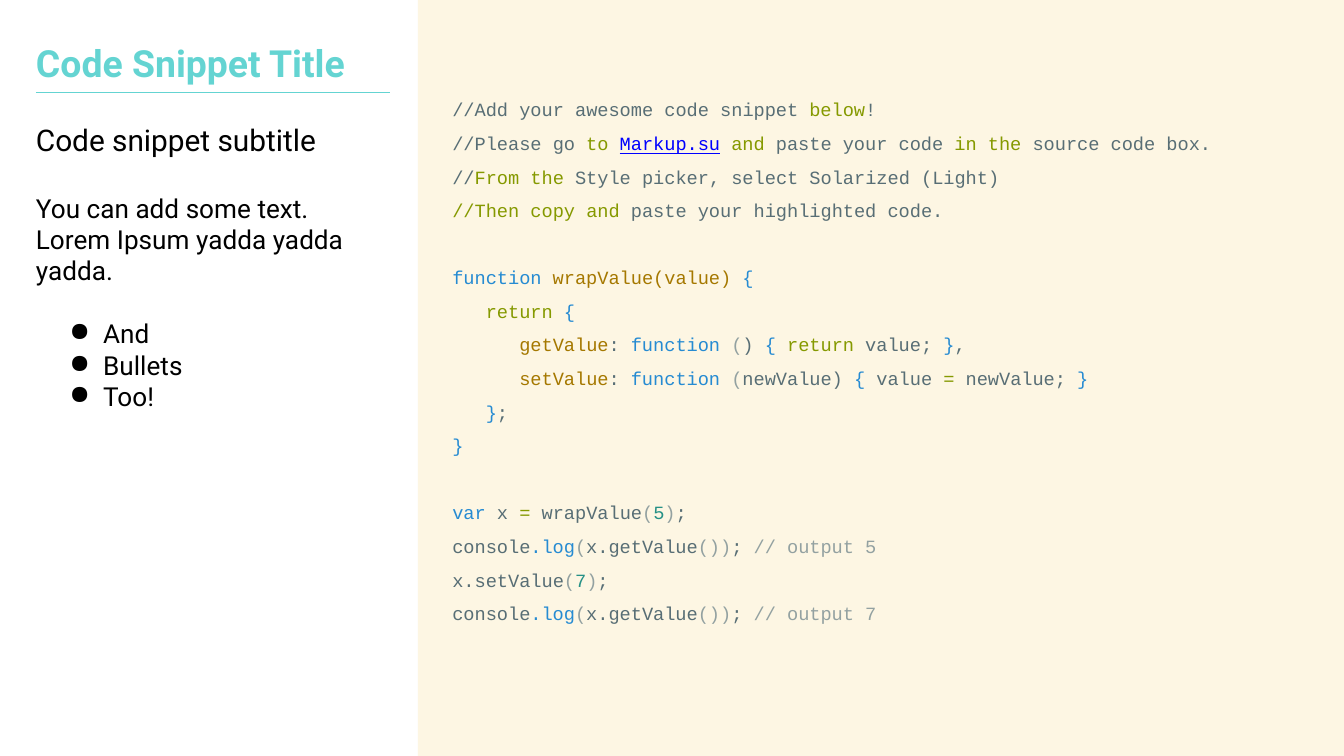
"""Build a slide with a titled text column and a highlighted code panel."""
import pptx
import pptx.dml.color
import pptx.enum.shapes
import pptx.enum.text
import pptx.oxml.ns
import pptx.util
from lxml import etree

Cm, Pt = pptx.util.Cm, pptx.util.Pt
qn = pptx.oxml.ns.qn

theme = {
    "panel": "FDF6E3", "teal": "64D4D2", "black": "000000",
    "ink": "586E75", "green": "859900", "blue": "268BD2", "gold": "A57800",
    "grey": "93A1A1", "cyan": "269186", "link": "0000FF",
    "sans": "Roboto", "mono": "Courier New",
    "title": 20, "sub": 16, "body": 14, "code": 10, "lead": 18, "gap": 17,
}


def tint(name):
    return pptx.dml.color.RGBColor.from_string(theme[name])


def add_box(left, top, width, height):
    frame = slide.shapes.add_textbox(Cm(left), Cm(top), Cm(width), Cm(height)).text_frame
    frame.word_wrap = True
    frame.margin_left = frame.margin_right = Cm(0.25)
    frame.margin_top = frame.margin_bottom = Cm(0.25)
    return frame


deck = pptx.Presentation()
deck.slide_width, deck.slide_height = Cm(25.4), Cm(14.29)
slide = deck.slides.add_slide(deck.slide_layouts[6])

panel = slide.shapes.add_shape(
    pptx.enum.shapes.MSO_SHAPE.RECTANGLE, Cm(7.9), Cm(0), Cm(17.5), Cm(14.29))
panel.shadow.inherit = False
panel.fill.solid()
panel.fill.fore_color.rgb = tint("panel")
panel.line.fill.background()

call = ("ink", "console", "blue", ".log", "grey", "(", "ink", "x.getValue",
        "grey", "())", "ink", "; ")
blocks = [
    [
        ("ink", "//Add your awesome code snippet ", "green", "below", "ink", "!"),
        ("ink", "//Please go ", "green", "to ", "link", "Markup.su", "green", " and",
         "ink", " paste your code ", "green", "in the", "ink", " source code box."),
        ("ink", "//", "green", "From the",
         "ink", " Style picker, select Solarized (Light)"),
        ("green", "//Then copy and", "ink", " paste your highlighted code."),
    ],
    [
        ("blue", "function", "gold", " wrapValue(value) ", "blue", "{"),
        ("green", "   return ", "blue", "{"),
        ("gold", "      getValue", "ink", ": ", "blue", "function ", "grey", "(",
         "ink", ") ", "blue", "{ ", "green", "return", "ink", " value; ",
         "blue", "}", "ink", ","),
        ("gold", "      setValue", "ink", ": ", "blue", "function ", "grey", "(",
         "ink", "newValue) ", "blue", "{", "ink", " value ", "green", "=",
         "ink", " newValue; ", "blue", "}"),
        ("blue", "   }", "ink", ";"),
        ("blue", "}"),
    ],
    [
        ("blue", "var", "ink", " x ", "green", "=", "ink", " wrapValue",
         "grey", "(", "cyan", "5", "grey", ")", "ink", ";"),
        call + ("grey", "// output 5"),
        ("ink", "x.setValue", "grey", "(", "cyan", "7", "grey", ")", "ink", ";"),
        call + ("grey", "// output 7"),
    ],
]
code = add_box(8.3, 1.47, 19.05, 11.15)
code.margin_bottom = Cm(0.89)
code.vertical_anchor = pptx.enum.text.MSO_ANCHOR.MIDDLE
para = code.paragraphs[0]
for block in blocks:
    for line in block:
        if para is None:
            para = code.add_paragraph()
            if line is block[0]:
                para.space_before = Pt(theme["lead"])
        para.line_spacing = Pt(theme["lead"])
        para.font.name, para.font.size = theme["mono"], Pt(theme["code"])
        for tone, text in zip(line[::2], line[1::2]):
            run = para.add_run()
            run.text = text
            run.font.color.rgb = tint(tone)
            if tone == "link":
                run.font.underline = True
        para = None

texts = [
    ((0.43, 0.51, 7.9, 1.37), "title", "teal", ["Code Snippet Title"], []),
    ((0.43, 2.06, 6.96, 1.12), "sub", "black", ["Code snippet subtitle"], []),
    ((0.43, 3.38, 6.65, 4.45), "body", "black",
     ["You can add some text. Lorem Ipsum yadda yadda yadda."],
     ["And", "Bullets", "Too!"]),
]
for place, size, tone, plain, items in texts:
    frame = add_box(*place)
    for spot, text in enumerate(plain + items):
        para = frame.paragraphs[0] if spot == 0 else frame.add_paragraph()
        para.text = text
        if text in items:
            props = para._p.get_or_add_pPr()
            props.set("marL", str(Cm(1.27)))
            props.set("indent", str(-Cm(0.64)))
            etree.SubElement(props, qn("a:buChar")).set("char", "●")
            if text == items[0]:
                para.space_before = Pt(theme["gap"])
        para.font.name, para.font.size = theme["sans"], Pt(theme[size])
        para.font.bold = size == "title"
        para.font.color.rgb = tint(tone)

rule = slide.shapes.add_connector(
    pptx.enum.shapes.MSO_CONNECTOR.STRAIGHT, Cm(0.68), Cm(1.75), Cm(7.37), Cm(1.75))
rule.line.color.rgb = tint("teal")
rule.line.width = Pt(0.75)
etree.SubElement(rule._element.spPr, qn("a:effectLst"))

deck.save("out.pptx")
